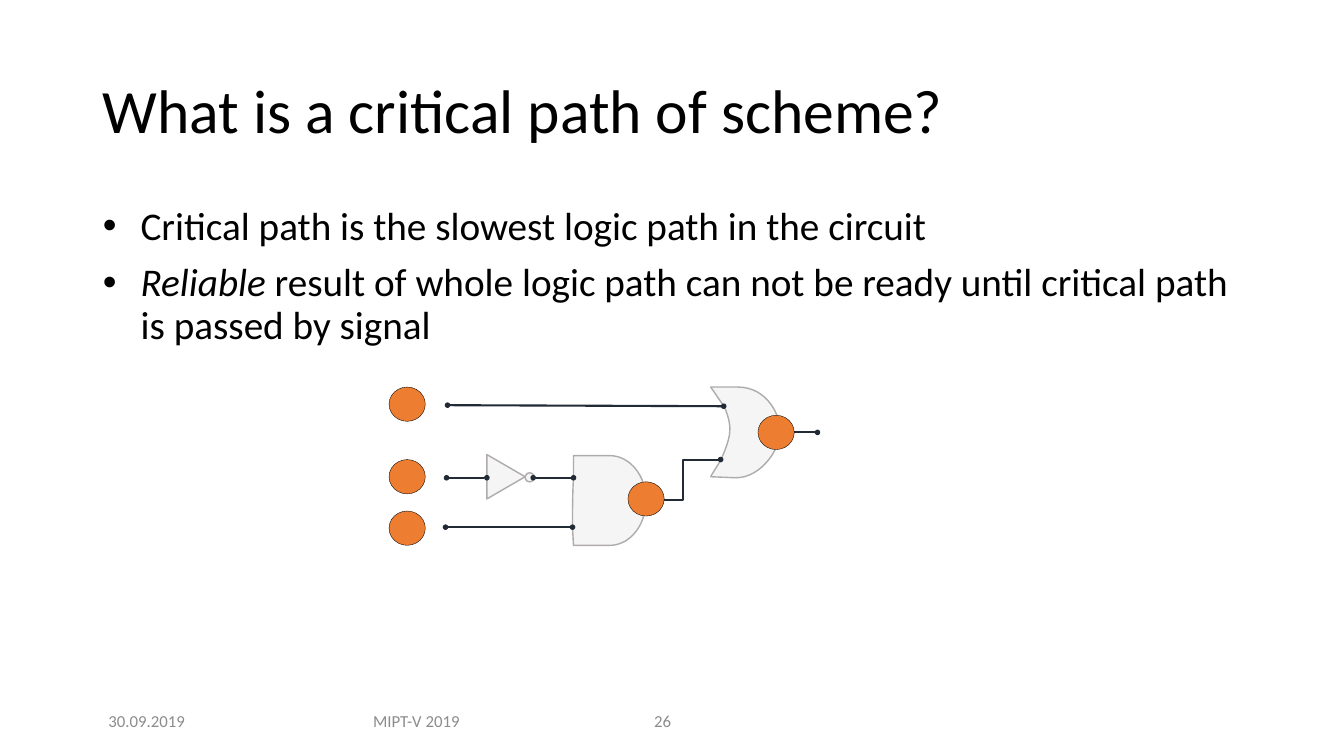
from dataclasses import dataclass

from lxml import etree
from pptx import Presentation
from pptx.dml.color import RGBColor
from pptx.enum import shapes, text
from pptx.oxml import ns
from pptx.util import Inches, Pt


@dataclass(frozen=True)
class Theme:
    font: str = "Calibri"
    ink: str = "000000"
    paper: str = "FFFFFF"
    muted: str = "8C8C8C"
    gate: str = "F5F5F5"
    edge: str = "AFABAB"
    wire: str = "222A35"
    node: str = "ED7D31"
    title: float = 44
    body: float = 28
    small: float = 12


@dataclass(frozen=True)
class Label:
    words: str
    left: float
    width: float
    align: text.PP_ALIGN = text.PP_ALIGN.CENTER


@dataclass(frozen=True)
class Wire:
    start: tuple[float, float]
    end: tuple[float, float]
    kind: shapes.MSO_CONNECTOR = shapes.MSO_CONNECTOR.STRAIGHT


@dataclass(frozen=True)
class Gate:
    """An outline; a step is a line end (x, y) or a cubic (x1, y1, x2, y2, x, y)."""
    start: tuple[float, float]
    steps: tuple[tuple[float, ...], ...]


THEME = Theme()
NODE_W, NODE_H = 0.36, 0.34
FOOT_Y, FOOT_H = 6.95, 0.4

BULLETS = (
    (("Critical path is the slowest logic path in the circuit", False),),
    (("Reliable", True),
     (" result of whole logic path can not be ready until critical path"
      " is passed by signal", False)),
)
LABELS = (
    Label("30.09.2019", 0.92, 1.07),
    Label("MIPT-V 2019", 3.34, 1.58),
    Label("26", 6.39, 0.79, text.PP_ALIGN.LEFT),
)
AND = Gate((5.69, 4.52), (
    (6.05, 4.52),
    (6.25, 4.52, 6.41, 4.72, 6.41, 4.96),
    (6.41, 5.21, 6.25, 5.41, 6.05, 5.41),
    (5.69, 5.41),
    (5.68, 5.23),
    (5.68, 5.07, 5.68, 4.9, 5.69, 4.74),
    (5.69, 4.52),
))
OR = Gate((7.32, 3.84), (
    (7.05, 3.84),
    (7.08, 3.88, 7.16, 4, 7.18, 4.03),
    (7.2, 4.06, 7.25, 4.19, 7.24, 4.28),
    (7.24, 4.36, 7.17, 4.53, 7.15, 4.56),
    (7.14, 4.59, 7.07, 4.69, 7.05, 4.73),
    (7.3, 4.74),
    (7.56, 4.74, 7.74, 4.44, 7.74, 4.29),
    (7.75, 4.14, 7.62, 3.84, 7.32, 3.84),
))
WIRES = (
    Wire((5.29, 4.74), (5.69, 4.74)),
    Wire((6.41, 4.96), (7.15, 4.56), shapes.MSO_CONNECTOR.ELBOW),
    Wire((7.18, 4.03), (4.44, 4.02)),
    Wire((4.83, 4.74), (4.43, 4.74)),
    Wire((5.68, 5.23), (4.42, 5.23)),
    Wire((7.74, 4.29), (8.11, 4.29)),
)
NODES = ((3.86, 3.84), (3.86, 4.56), (3.86, 5.07), (6.23, 4.78), (7.52, 4.12))


def rgb(code: str) -> RGBColor:
    return RGBColor.from_string(code)


def place(shape, left: float, top: float, width: float, height: float) -> None:
    shape.left, shape.top = Inches(left), Inches(top)
    shape.width, shape.height = Inches(width), Inches(height)


def set_font(para, size: float, color: str) -> None:
    para.font.name = THEME.font
    para.font.size = Pt(size)
    para.font.color.rgb = rgb(color)


def paint(shape, fill: str, line: str, width: float) -> None:
    shape.shadow.inherit = False
    shape.fill.solid()
    shape.fill.fore_color.rgb = rgb(fill)
    shape.line.color.rgb = rgb(line)
    shape.line.width = Pt(width)


def add_shape(slide, kind: shapes.MSO_SHAPE, *box: float):
    return slide.shapes.add_shape(kind, *[Inches(v) for v in box])


def add_veil(slide) -> None:
    """Lay a translucent white panel over the lower right corner."""
    veil = add_shape(slide, shapes.MSO_SHAPE.RECTANGLE, 8.19, 6.57, 5.15, 0.93)
    paint(veil, THEME.paper, THEME.paper, 0)
    veil.line.fill.background()
    color = veil.fill._xPr.find(".//" + ns.qn("a:srgbClr"))
    etree.SubElement(color, ns.qn("a:alpha"), val="83000")


def add_title(slide) -> None:
    title = slide.shapes.title
    place(title, 0.92, 0.4, 11.5, 1.45)
    title.text_frame.vertical_anchor = text.MSO_ANCHOR.MIDDLE
    para = title.text_frame.paragraphs[0]
    para.text = "What is a critical path of scheme?"
    para.alignment = text.PP_ALIGN.LEFT
    para.line_spacing = 0.9
    set_font(para, THEME.title, THEME.ink)


def add_body(slide) -> None:
    body = slide.placeholders[1]
    place(body, 0.92, 2, 11.5, 4.52)
    frame = body.text_frame
    for i, parts in enumerate(BULLETS):
        para = frame.add_paragraph() if i else frame.paragraphs[0]
        para.line_spacing = 0.9
        para.space_before = Pt(10)
        set_font(para, THEME.body, THEME.ink)
        for words, italic in parts:
            run = para.add_run()
            run.text = words
            run.font.italic = italic


def add_label(slide, label: Label) -> None:
    box = slide.shapes.add_textbox(Inches(label.left), Inches(FOOT_Y),
                                   Inches(label.width), Inches(FOOT_H))
    frame = box.text_frame
    frame.word_wrap = True
    frame.vertical_anchor = text.MSO_ANCHOR.MIDDLE
    para = frame.paragraphs[0]
    para.text = label.words
    para.alignment = label.align
    set_font(para, THEME.small, THEME.muted)


def add_gate(slide, gate: Gate) -> None:
    """Draw the corners as lines, then bend those whose step is a cubic."""
    first, *rest = [(Inches(p[-2]), Inches(p[-1])) for p in (gate.start, *gate.steps)]
    pen = slide.shapes.build_freeform(*first)
    pen.add_line_segments(rest, close=True)
    shape = pen.convert_to_shape()
    paint(shape, THEME.gate, THEME.edge, 1)
    for line, step in zip(list(shape._element.iter(ns.qn("a:lnTo"))), gate.steps):
        if len(step) == 6:
            line.tag = ns.qn("a:cubicBezTo")
            for i, (x, y) in enumerate((step[:2], step[2:4])):
                point = etree.Element(ns.qn("a:pt"), x=str(Inches(x) - shape.left),
                                      y=str(Inches(y) - shape.top))
                line.insert(i, point)


def add_inverter(slide) -> None:
    body = add_shape(slide, shapes.MSO_SHAPE.ISOSCELES_TRIANGLE, 4.8, 4.54, 0.44, 0.38)
    body.rotation = 90
    dot = add_shape(slide, shapes.MSO_SHAPE.OVAL, 5.21, 4.69, 0.09, 0.09)
    for part in (body, dot):
        paint(part, THEME.gate, THEME.edge, 1)


def add_wire(slide, wire: Wire) -> None:
    ends = [Inches(v) for v in wire.start + wire.end]
    link = slide.shapes.add_connector(wire.kind, *ends)
    link.line.color.rgb = rgb(THEME.wire)
    link.line.width = Pt(1.5)
    line = link.line._get_or_add_ln()
    for tag in ("a:headEnd", "a:tailEnd"):
        etree.SubElement(line, ns.qn(tag), type="oval", w="sm", len="sm")
    etree.SubElement(link._element.spPr, ns.qn("a:effectLst"))


def main() -> None:
    deck = Presentation()
    deck.slide_width, deck.slide_height = Inches(40 / 3), Inches(7.5)
    slide = deck.slides.add_slide(deck.slide_layouts[1])
    add_veil(slide)
    add_title(slide)
    add_body(slide)
    add_inverter(slide)
    for gate in (AND, OR):
        add_gate(slide, gate)
    for wire in WIRES:
        add_wire(slide, wire)
    for spot in NODES:
        node = add_shape(slide, shapes.MSO_SHAPE.OVAL, *spot, NODE_W, NODE_H)
        paint(node, THEME.node, THEME.ink, 0.25)
    for label in LABELS:
        add_label(slide, label)
    deck.save("out.pptx")


if __name__ == "__main__":
    main()
